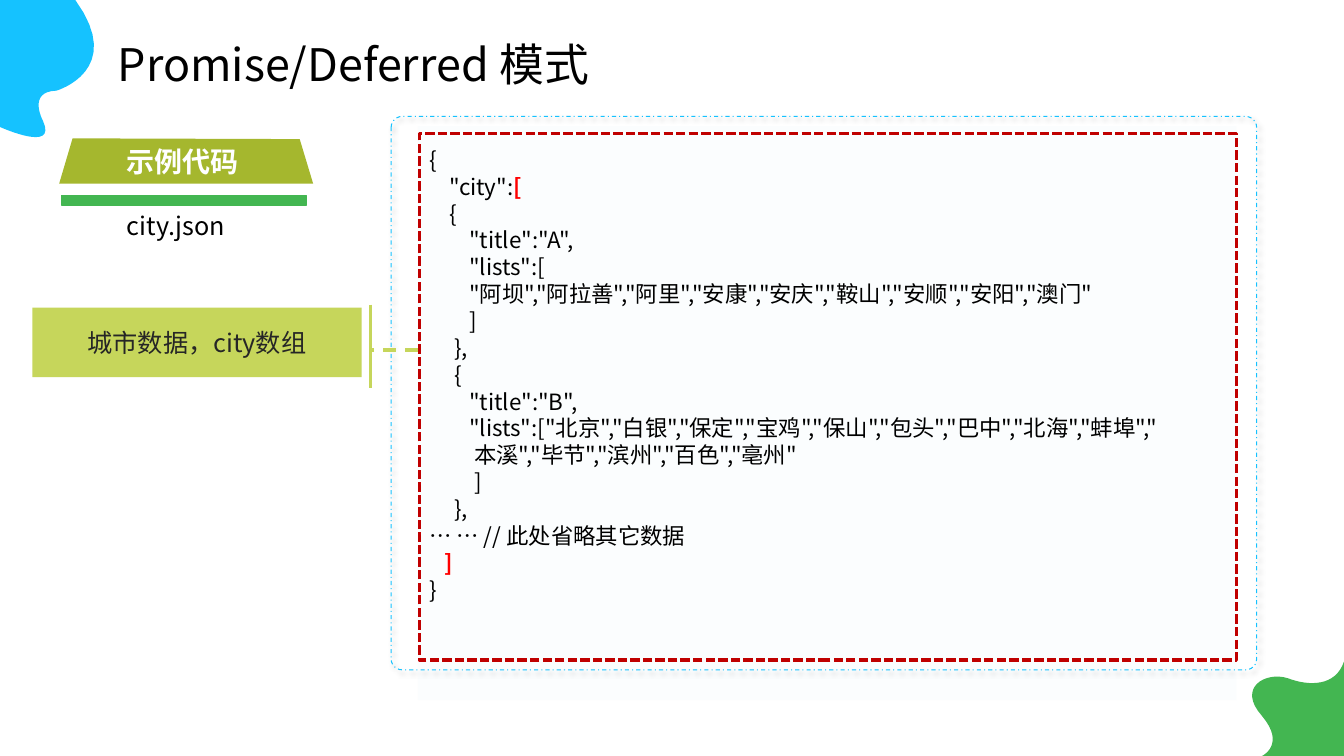
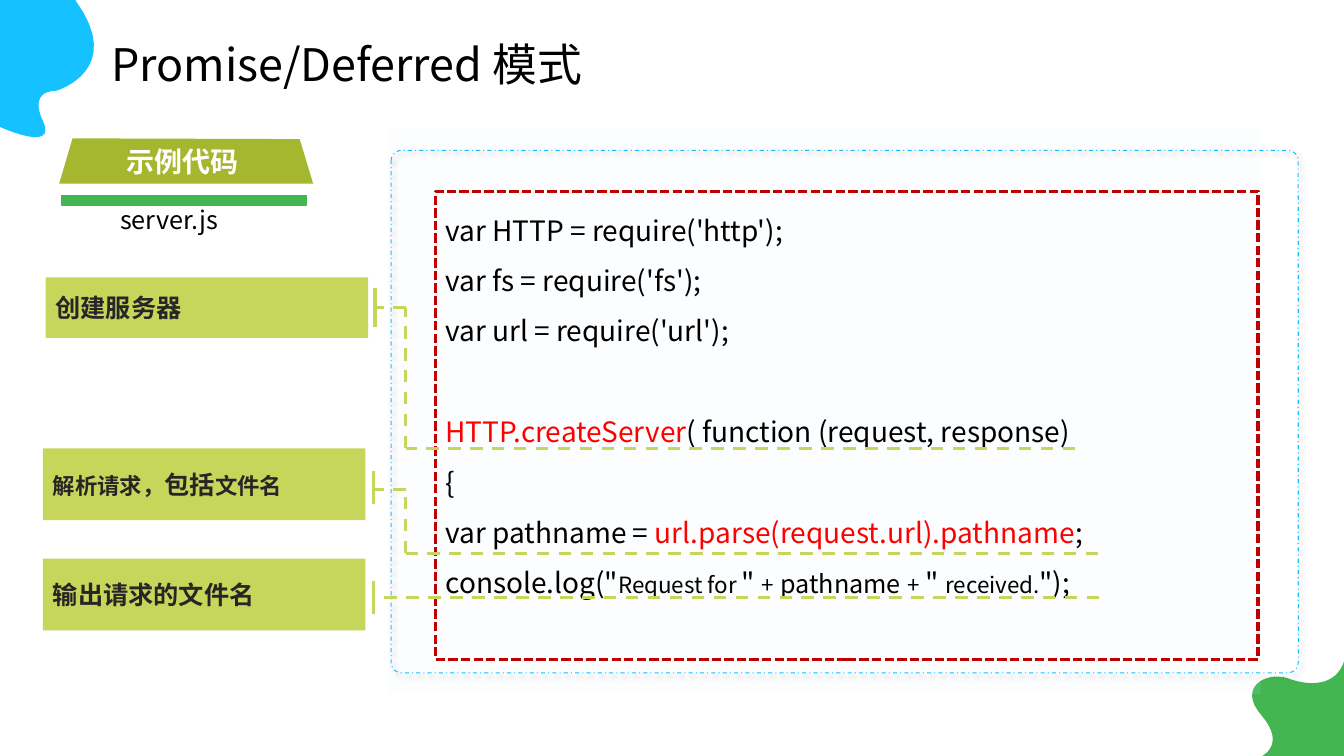
from dataclasses import dataclass, field
from itertools import pairwise
from typing import NamedTuple

from lxml import etree
from pptx import Presentation
from pptx.dml.color import RGBColor
from pptx.enum.dml import MSO_LINE
from pptx.enum.shapes import MSO_CONNECTOR, MSO_SHAPE
from pptx.enum.text import MSO_ANCHOR, PP_ALIGN
from pptx.oxml.ns import qn
from pptx.util import Inches, Pt

RECT, ROUND = MSO_SHAPE.RECTANGLE, MSO_SHAPE.ROUNDED_RECTANGLE
STRAIGHT = MSO_CONNECTOR.STRAIGHT
DASH, DASH_DOT, SYS_DASH = MSO_LINE.DASH, MSO_LINE.DASH_DOT, MSO_LINE.SQUARE_DOT
TOP, MIDDLE = MSO_ANCHOR.TOP, MSO_ANCHOR.MIDDLE
LEFT, CENTER = PP_ALIGN.LEFT, PP_ALIGN.CENTER

WIDTH, HEIGHT = Inches(13.33), Inches(7.5)
FONT = "Noto Sans CJK SC"
BLACK, WHITE, INK, RED = "000000", "FFFFFF", "262626", "FF0000"
BLUE, GREEN, OLIVE, LIME = "15C2FF", "43B651", "A5B72E", "C6D65B"
TINT, CRIMSON = "DBF3FC", "C00000"
CURVE_STEPS = 16

Point = tuple[float, float]


class Box(NamedTuple):
    """A rectangle in percent of the slide's width and height."""
    x: float
    y: float
    w: float
    h: float


class Span(NamedTuple):
    """A stretch of text that may differ from its box's style."""
    text: str
    color: str | None = None
    size: float | None = None
    bold: bool | None = None


@dataclass
class Line:
    """A paragraph with the points of space above it."""
    spans: list[Span]
    before: float = 0


@dataclass
class Style:
    """How the text of one box is set."""
    size: float
    color: str = BLACK
    bold: bool = False
    align: PP_ALIGN = LEFT
    spacing: float = 1.0


@dataclass
class Note:
    """A callout with a tick and a dashed leader through the given points."""
    box: Box
    spans: list[Span]
    route: list[Point]
    tick: tuple[float, float, float]
    style: Style = field(default_factory=lambda: Style(18, INK, True))


@dataclass
class Page:
    """Everything that differs between the code slides."""
    title: Box
    file_name: str
    file_box: Box
    tint: Box
    frame: Box
    code_box: Box
    code_style: Style
    code: list[Line]
    notes: list[Note]
    code_top: float = 0.05


def px(share: float) -> int:
    """Turn a percentage of the width into a length."""
    return round(WIDTH * share / 100)


def py(share: float) -> int:
    """Turn a percentage of the height into a length."""
    return round(HEIGHT * share / 100)


def place(box: Box) -> tuple[int, int, int, int]:
    """Return left, top, width and height of a box."""
    return px(box.x), py(box.y), px(box.w), py(box.h)


def rgb(value: str) -> RGBColor:
    """Read a hex colour."""
    return RGBColor.from_string(value)


def paint(sp, fill: str | None, line: str | None = None, width: float = 1, dash=None) -> None:
    """Set fill and outline, and drop the shadow."""
    if fill:
        sp.fill.solid()
        sp.fill.fore_color.rgb = rgb(fill)
    else:
        sp.fill.background()
    if line:
        sp.line.color.rgb = rgb(line)
        sp.line.width = Pt(width)
        if dash:
            sp.line.dash_style = dash
    else:
        sp.line.fill.background()
    sp.shadow.inherit = False


def add_box(s, box: Box, fill: str | None, line: str | None = None,
            width: float = 1, dash=None, kind=RECT):
    """Add a painted preset shape."""
    sp = s.shapes.add_shape(kind, *place(box))
    paint(sp, fill, line, width, dash)
    return sp


def write(tf, lines: list[Line], style: Style, anchor=TOP) -> None:
    """Fill a text frame with styled paragraphs."""
    tf.word_wrap = True
    tf.vertical_anchor = anchor
    for i, line in enumerate(lines):
        p = tf.add_paragraph() if i else tf.paragraphs[0]
        p.alignment = style.align
        p.line_spacing = style.spacing
        if line.before:
            p.space_before = Pt(line.before)
        for span in line.spans:
            r = p.add_run()
            r.text = span.text
            r.font.name = FONT
            r.font.size = Pt(span.size or style.size)
            r.font.bold = style.bold if span.bold is None else span.bold
            r.font.color.rgb = rgb(span.color or style.color)
            etree.SubElement(r.font._element, qn("a:ea"), typeface=FONT)


def add_text(s, box: Box, text: str, style: Style) -> None:
    """Add a one-paragraph text box."""
    tf = s.shapes.add_textbox(*place(box)).text_frame
    write(tf, [Line([Span(text)])], style)


def add_line(s, start: Point, end: Point, dash=None) -> None:
    """Add a lime connector."""
    c = s.shapes.add_connector(STRAIGHT, px(start[0]), py(start[1]), px(end[0]), py(end[1]))
    c.line.color.rgb = rgb(LIME)
    c.line.width = Pt(2.25)
    if dash:
        c.line.dash_style = dash
    etree.SubElement(c._element.spPr, qn("a:effectLst"))


def curve(points: list[Point]) -> list[Point]:
    """Sample a chain of cubic curves given as start, then triples."""
    out = [points[0]]
    for i in range(0, len(points) - 1, 3):
        quad = points[i:i + 4]
        for step in range(1, CURVE_STEPS + 1):
            t = step / CURVE_STEPS
            weights = ((1 - t) ** 3, 3 * t * (1 - t) ** 2, 3 * t * t * (1 - t), t ** 3)
            out.append((sum(w * q[0] for w, q in zip(weights, quad)),
                        sum(w * q[1] for w, q in zip(weights, quad))))
    return out


def add_outline(s, points: list[Point], fill: str) -> None:
    """Add a closed freeform."""
    start, *rest = [(px(x), py(y)) for x, y in points]
    builder = s.shapes.build_freeform(*start)
    builder.add_line_segments(rest, close=True)
    paint(builder.convert_to_shape(), fill)


def add_corners(s) -> None:
    """Draw the two corner blobs."""
    blue = [(0, 16.8), (0, 16.8), (4.3, 20.3), (3.2, 16), (3.2, 16), (2, 12.1),
            (4.2, 12), (4.2, 12), (9.4, 9.3), (5.6, 0)]
    green = [(93.9, 100), (93.9, 100), (95.7, 98.5), (93.9, 94.7), (92, 90.9),
             (94.2, 88.8), (95.8, 89.7), (97.4, 90.8), (99.4, 90.8), (100, 87.5)]
    add_outline(s, curve(blue) + [(0, 0)], BLUE)
    add_outline(s, curve(green) + [(100, 100)], GREEN)


def add_panel(s, page: Page) -> None:
    """Draw the tinted panel, its frame and the code."""
    tint = add_box(s, page.tint, TINT)
    color = tint._element.spPr.find(f".//{qn('a:srgbClr')}")
    etree.SubElement(color, qn("a:alpha"), val="10000")
    frame = add_box(s, page.frame, None, BLUE, 0.75, DASH_DOT, ROUND)
    frame.adjustments[0] = 0.02
    shadow = etree.SubElement(frame._element.spPr.find(qn("a:effectLst")), qn("a:outerShdw"),
                              blurRad=str(Pt(4)), dist=str(Pt(3)), dir="2700000",
                              algn="tl", rotWithShape="0")
    black = etree.SubElement(shadow, qn("a:srgbClr"), val=BLACK)
    etree.SubElement(black, qn("a:alpha"), val="40000")
    tf = add_box(s, page.code_box, None, CRIMSON, 2.25, SYS_DASH).text_frame
    tf.margin_top, tf.margin_right = Inches(page.code_top), 0
    write(tf, page.code, page.code_style)


def add_note(s, note: Note) -> None:
    """Draw a callout, its leader and its tick."""
    sp = add_box(s, note.box, LIME)
    write(sp.text_frame, [Line(note.spans)], note.style, MIDDLE)
    for start, end in pairwise(note.route):
        add_line(s, start, end, DASH)
    x, top, bottom = note.tick
    add_line(s, (x, top), (x, bottom))


def add_tag(s, page: Page) -> None:
    """Draw the sample-code tag with the file name."""
    add_text(s, page.file_box, page.file_name, Style(18))
    add_box(s, Box(4.6, 25.9, 18.2, 1.2), GREEN, GREEN)
    add_outline(s, [(5.4, 18.3), (22.3, 18.4), (23.3, 24.3), (4.4, 24.3)], OLIVE)
    add_text(s, Box(8.7, 18.5, 13, 5.9), "示例代码", Style(20, WHITE, True))


def add_page(prs, page: Page) -> None:
    """Build one code slide."""
    s = prs.slides.add_slide(prs.slide_layouts[6])
    add_corners(s)
    add_text(s, page.title, "Promise/Deferred 模式", Style(32, align=CENTER, spacing=1.5))
    add_panel(s, page)
    for note in page.notes:
        add_note(s, note)
    add_tag(s, page)


def plain(text: str) -> list[Line]:
    """Split text into unmarked code lines."""
    return [Line([Span(row)]) for row in text.split("\n")]


CITY_ROWS = """    {
        "title":"A",
        "lists":[
        "阿坝","阿拉善","阿里","安康","安庆","鞍山","安顺","安阳","澳门"
        ]
     },
     {
        "title":"B",
        "lists":["北京","白银","保定","宝鸡","保山","包头","巴中","北海","蚌埠","
         本溪","毕节","滨州","百色","亳州"
         ]
     },
… … // 此处省略其它数据"""
CITY_CODE = [*plain("{"), Line([Span('    "city":'), Span("[", RED, bold=True)]),
             *plain(CITY_ROWS), Line([Span("   "), Span("]", RED, bold=True)]), *plain("}")]
SERVER_CODE = [
    *plain("var HTTP = require('http');\nvar fs = require('fs');\nvar url = require('url');"),
    Line([Span("HTTP.createServer", RED), Span("( function (request, response)")], before=36),
    *plain("{"),
    Line([Span("var pathname = "), Span("url.parse(request.url).pathname", RED), Span(";")]),
    Line([Span('console.log("'), Span("Request for ", size=16), Span('" '), Span("+", size=16),
          Span(" "), Span("pathname", size=18), Span(" "), Span("+", size=16), Span(' " '),
          Span("received.", size=16), Span('");')]),
]
PAGES = [
    Page(Box(5.8, 0.6, 41, 12.1), "city.json", Box(8.7, 27.1, 11.9, 5.3),
         Box(31.1, 16.7, 60.9, 75.9), Box(29.1, 15.4, 64.4, 73.2), Box(31.2, 17.7, 60.8, 69.6),
         Style(16), CITY_CODE,
         [Note(Box(2.4, 40.7, 24.5, 9.2), [Span("城市数据，city数组")],
               [(31.1, 46.3), (27.6, 46.3)], (27.6, 40.3, 51.3), Style(18, INK, align=CENTER))],
         code_top=0.12),
    Page(Box(5.8, 0.6, 40, 12.1), "server.js", Box(8.2, 26.4, 12.8, 5.3),
         Box(28.9, 16.9, 64.9, 74.9), Box(29.1, 19.9, 67.5, 69.1), Box(32.4, 25.3, 61.2, 61.9),
         Style(20, spacing=1.5), SERVER_CODE,
         [Note(Box(3.4, 36.7, 24, 8), [Span("创建服务器")],
               [(80, 59.3), (30.2, 59.3), (30.2, 40.7), (27.9, 40.7)], (27.9, 38.1, 43.2)),
          Note(Box(3.2, 59.3, 24, 9.5),
               [Span("解析请求，", size=16), Span("包括"), Span("文件名", size=16)],
               [(81.7, 73.2), (30.2, 73.2), (30.2, 64.7), (27.8, 64.7)], (27.8, 62.3, 66.7)),
          Note(Box(3.2, 73.9, 24, 9.5), [Span("输出请求的文件名")],
               [(81.8, 79), (27.8, 79)], (27.8, 76.8, 81.2))]),
]


def main() -> None:
    """Build and save the slides."""
    prs = Presentation()
    prs.slide_width, prs.slide_height = WIDTH, HEIGHT
    for page in PAGES:
        add_page(prs, page)
    prs.save("out.pptx")


if __name__ == "__main__":
    main()
